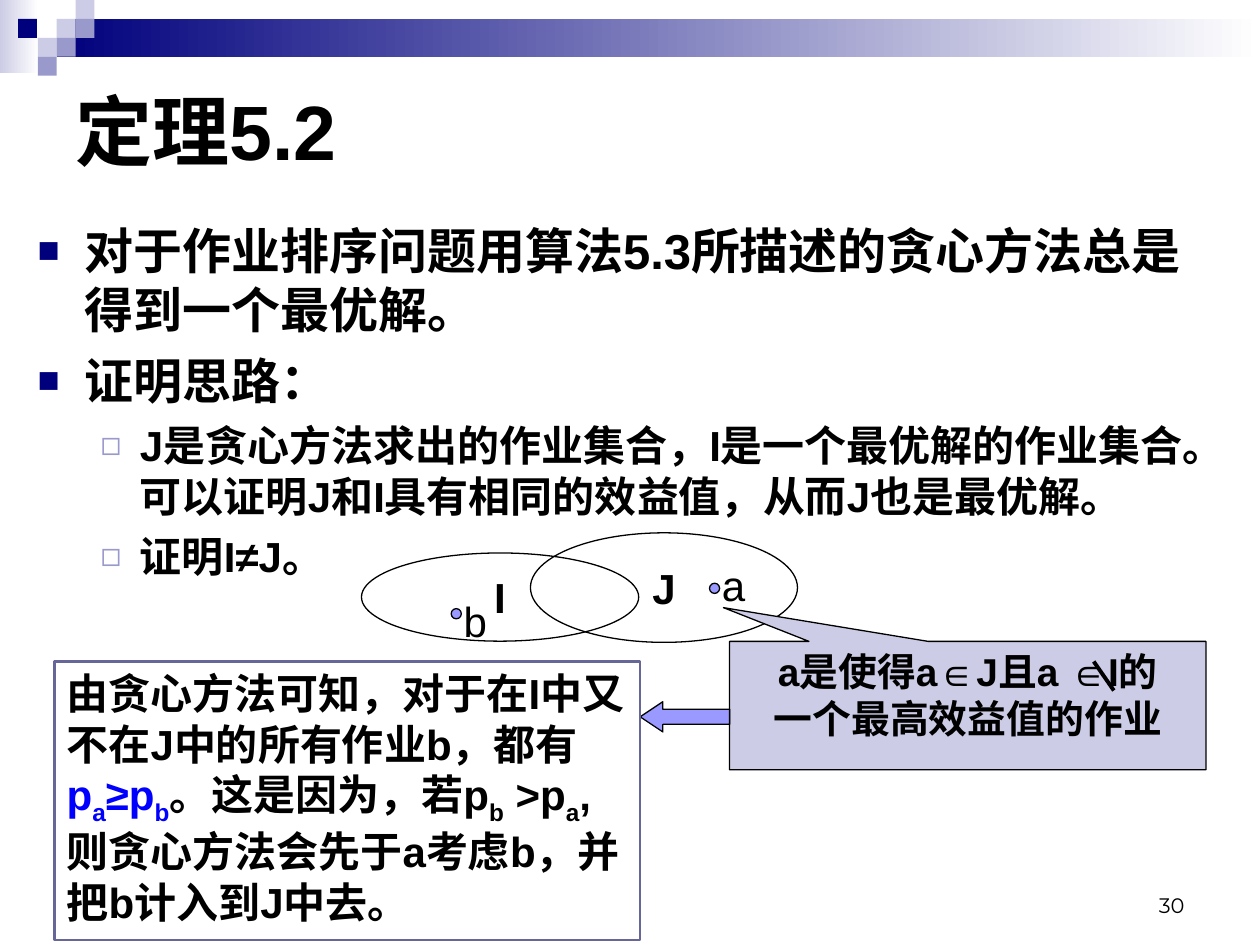
import pptx
import pptx.util
import pptx.dml.color
import pptx.enum.shapes
import pptx.enum.text
import pptx.oxml
import pptx.oxml.ns

Pt = pptx.util.Pt
RGB = pptx.dml.color.RGBColor
SHAPE = pptx.enum.shapes.MSO_SHAPE
ALIGN = pptx.enum.text.PP_ALIGN
ANCHOR = pptx.enum.text.MSO_ANCHOR

BLACK, WHITE = RGB(0, 0, 0), RGB(255, 255, 255)
NAVY = RGB(0x00, 0x00, 0x7D)
LAVENDER = RGB(0xCC, 0xCC, 0xE6)
PERIWINKLE = RGB(0x99, 0x99, 0xCC)
VIOLET = RGB(0x99, 0x99, 0xFF)
SLATE = RGB(0x66, 0x66, 0x99)
BLUE = RGB(0, 0, 255)


def add_shape(kind, box, fill=None, line=None, width=0.75):
    sp = s.shapes.add_shape(kind, *[Pt(v) for v in box])
    sp.shadow.inherit = False
    if fill is None:
        sp.fill.background()
    elif isinstance(fill, tuple) and len(fill) == 2:
        sp.fill.gradient()
        sp.fill.gradient_angle = 0
        for stop, color in zip(sp.fill.gradient_stops, fill):
            stop.color.rgb = color
    else:
        sp.fill.solid()
        sp.fill.fore_color.rgb = fill
    if line is None:
        sp.line.fill.background()
    else:
        sp.line.color.rgb = line
        sp.line.width = Pt(width)
    return sp


def add_run(p, text, size, bold=True, color=BLACK, font="Arial", sub=False):
    r = p.add_run()
    r.text = text
    r.font.name, r.font.size, r.font.bold = font, Pt(size), bold
    r.font.color.rgb = color
    if sub:
        r.font._element.set("baseline", "-25000")


prs = pptx.Presentation()
prs.slide_width, prs.slide_height = Pt(720), Pt(540)
s = prs.slides.add_slide(prs.slide_layouts[5])

# Header band and squares, on a grid of 10.8 pt
add_shape(SHAPE.RECTANGLE, (0, 0, 22, 42), (LAVENDER, WHITE))
add_shape(SHAPE.RECTANGLE, (32.4, 10.8, 687.6, 21.6), (NAVY, WHITE))
SQUARE = 10.8
for left, row, color in [
    (32.4, 1, LAVENDER), (43.2, 0, LAVENDER), (43.2, 1, PERIWINKLE),
    (21.6, 2, LAVENDER), (10.3, 1, NAVY), (32.4, 2, PERIWINKLE),
    (21.6, 3, PERIWINKLE),
]:
    add_shape(SHAPE.RECTANGLE, (left, row * SQUARE, SQUARE, SQUARE), color)

# Slide number
sp = s.shapes.add_textbox(Pt(516), Pt(492), Pt(168), Pt(36))
tf = sp.text_frame
tf.word_wrap = True
tf.vertical_anchor = ANCHOR.BOTTOM
tf.paragraphs[0].alignment = ALIGN.RIGHT
add_run(tf.paragraphs[0], "30", 12, bold=False, font="Montserrat")

# Title
sp = s.shapes.title
sp.left, sp.top, sp.width, sp.height = Pt(36), Pt(20), Pt(648), Pt(108)
tf = sp.text_frame
tf.vertical_anchor = ANCHOR.MIDDLE
tf.paragraphs[0].alignment = ALIGN.LEFT
add_run(tf.paragraphs[0], "定理5.2", 44)

# Theorem and proof outline
# level: text size, space before, left margin, hang, bullet, bullet colour, bullet size
LEVELS = [
    (28, 7, 27, 27, "■", NAVY, 75),
    (24, 6, 58.5, 22.5, "◻", PERIWINKLE, 80),
]
sp = s.shapes.add_textbox(Pt(14.4), Pt(122.4), Pt(684), Pt(346.5))
tf = sp.text_frame
tf.word_wrap = True
for i, (level, text) in enumerate([
    (0, "对于作业排序问题用算法5.3所描述的贪心方法总是得到一个最优解。"),
    (0, "证明思路："),
    (1, "J是贪心方法求出的作业集合，I是一个最优解的作业集合。"
        "可以证明J和I具有相同的效益值，从而J也是最优解。"),
    (1, "证明I≠J。"),
]):
    size, before, margin, hang, bullet, color, scale = LEVELS[level]
    p = tf.add_paragraph() if i else tf.paragraphs[0]
    pPr = p._p.get_or_add_pPr()
    pPr.set("marL", str(int(Pt(margin))))
    pPr.set("indent", str(-int(Pt(hang))))
    ns = pptx.oxml.ns.nsdecls("a")
    for xml in (
        f'<a:buClr {ns}><a:srgbClr val="{color}"/></a:buClr>',
        f'<a:buSzPct {ns} val="{scale * 1000}"/>',
        f'<a:buFont {ns} typeface="Arial"/>',
        f'<a:buChar {ns} char="{bullet}"/>',
    ):
        pPr.append(pptx.oxml.parse_xml(xml))
    p.level = level
    if i:
        p.space_before = Pt(before)
    add_run(p, text, size)

# Sets I and J
for name, box in [("I", (206.6, 316, 158.4, 50.4)),
                  ("J", (303.1, 304.5, 152.6, 62.6))]:
    sp = add_shape(SHAPE.OVAL, box, line=BLACK)
    tf = sp.text_frame
    tf.word_wrap = False
    tf.vertical_anchor = ANCHOR.MIDDLE
    tf.paragraphs[0].alignment = ALIGN.CENTER
    add_run(tf.paragraphs[0], name, 24)

# Elements a and b
for name, left, dot_top, text_top in [("a", 405.4, 333.3, 316),
                                      ("b", 257.8, 347.8, 337)]:
    add_shape(SHAPE.OVAL, (left, dot_top, 5.8, 5.8), VIOLET, BLACK)
    sp = s.shapes.add_textbox(Pt(left), Pt(text_top), Pt(22.3), Pt(36))
    sp.text_frame.word_wrap = True
    add_run(sp.text_frame.paragraphs[0], name, 24, bold=False)

# Callout on a, with the stroke that negates the second ∈
sp = add_shape(SHAPE.RECTANGULAR_CALLOUT, (416.9, 366.5, 272.2, 73.4),
               LAVENDER, BLACK)
sp.adjustments[0], sp.adjustments[1] = -0.513, -0.763
tf = sp.text_frame
tf.word_wrap = True
tf.vertical_anchor = ANCHOR.TOP
for i, text in enumerate(["a是使得a∈J且a ∈I的", "一个最高效益值的作业"]):
    p = tf.add_paragraph() if i else tf.paragraphs[0]
    p.alignment = ALIGN.CENTER
    add_run(p, text, 22.2)

stroke = s.shapes.add_connector(pptx.enum.shapes.MSO_CONNECTOR.STRAIGHT,
                                Pt(625), Pt(378), Pt(636.5), Pt(394.6))
stroke.line.color.rgb = BLACK
stroke.line.width = Pt(2.25)
stroke._element.spPr.append(pptx.oxml.parse_xml(
    f'<a:effectLst {pptx.oxml.ns.nsdecls("a")}/>'))

# Arrow from the callout to the conclusion
sp = add_shape(SHAPE.LEFT_ARROW, (365.8, 401, 51.1, 17.3), VIOLET, BLACK)
sp.adjustments[0], sp.adjustments[1] = 0.5, 0.75

# Conclusion
sp = add_shape(SHAPE.RECTANGLE, (31, 378, 334.8, 159.1), line=SLATE, width=1.5)
tf = sp.text_frame
tf.word_wrap = True
tf.vertical_anchor = ANCHOR.TOP
p = tf.paragraphs[0]
p.alignment = ALIGN.LEFT
for text, color, sub in [
    ("由贪心方法可知，对于在I中又不在J中的所有作业b，都有", BLACK, False),
    ("p", BLUE, False), ("a", BLUE, True),
    ("≥p", BLUE, False), ("b", BLUE, True),
    ("。这是因为，若p", BLACK, False), ("b", BLACK, True),
    (" >p", BLACK, False), ("a", BLACK, True),
    (",则贪心方法会先于a考虑b，并把b计入到J中去。", BLACK, False),
]:
    add_run(p, text, 24, color=color, sub=sub)

prs.save("out.pptx")
